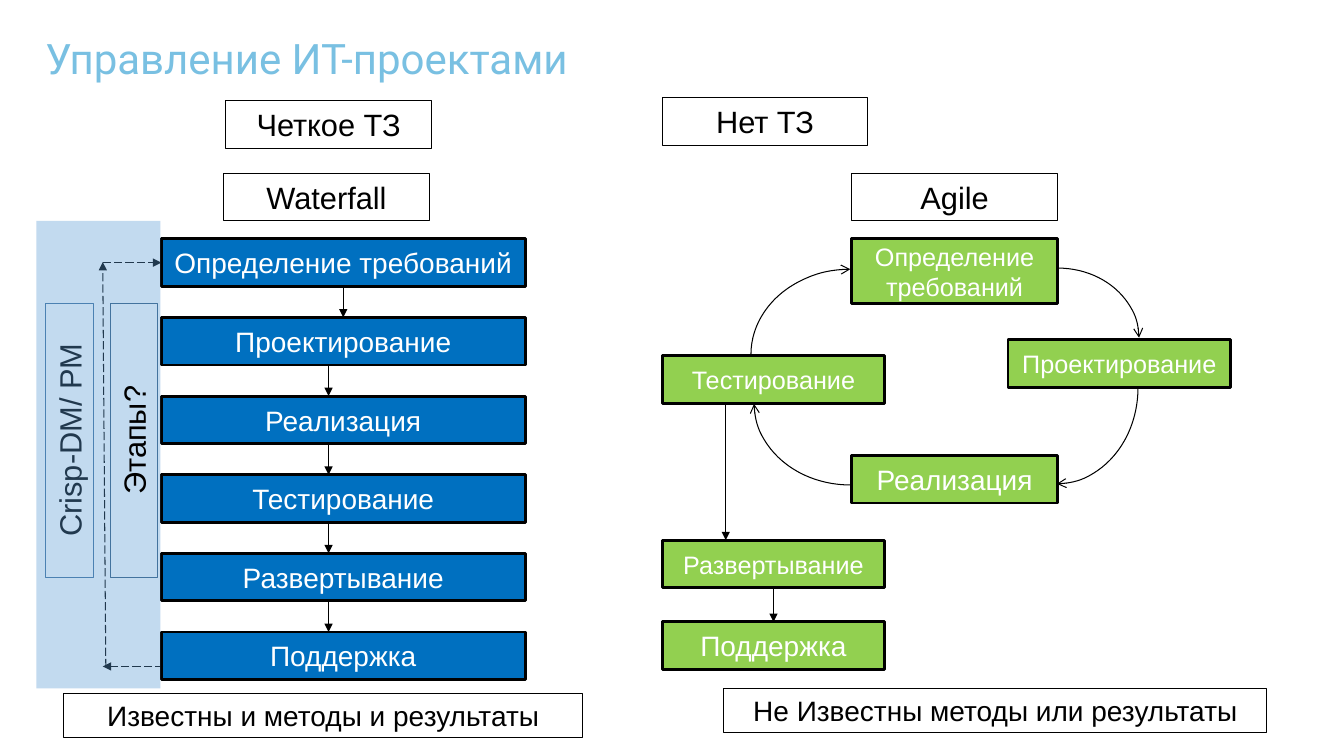
import pptx
import pptx.util
import pptx.dml.color
import pptx.enum.dml
import pptx.enum.shapes
import pptx.enum.text
import pptx.oxml
import pptx.oxml.ns

Pt = pptx.util.Pt
RGBColor = pptx.dml.color.RGBColor
SHAPE = pptx.enum.shapes.MSO_SHAPE
ANCHOR = pptx.enum.text.MSO_ANCHOR
CENTER = pptx.enum.text.PP_ALIGN.CENTER
DASH = pptx.enum.dml.MSO_LINE.LONG_DASH

BLACK = RGBColor(0x00, 0x00, 0x00)
WHITE = RGBColor(0xFF, 0xFF, 0xFF)
BLUE = RGBColor(0x00, 0x70, 0xC0)
GREEN = RGBColor(0x92, 0xD0, 0x50)
SKY = RGBColor(0x79, 0xC0, 0xE2)
STEEL = RGBColor(0x43, 0x73, 0x9E)
PANEL = RGBColor(0x5B, 0x9B, 0xD5)

BOX_HEIGHT = 34
LABEL_WIDTH = 147
THIN, THICK = 0.75, 2
TOP, LEFT, BOTTOM = 0, 1, 2


def write(para, text, size, color, name="Arial"):
    span = para.add_run()
    span.text = text
    for key, value in {"size": Pt(size), "name": name}.items():
        setattr(span.font, key, value)
    span.font.color.rgb = color


def add_plain(page, kind, box, fill=None, line=None, width=THIN):
    shape = page.shapes.add_shape(kind, *(Pt(value) for value in box))
    shape.shadow.inherit = False
    if fill is None:
        shape.fill.background()
    else:
        shape.fill.solid()
        shape.fill.fore_color.rgb = fill
    if line is None:
        shape.line.fill.background()
    else:
        shape.line.color.rgb = line
        shape.line.width = Pt(width)
    return shape


def add_text(shape, text, size, color, anchor):
    frame = shape.text_frame
    for key, value in {"word_wrap": True, "vertical_anchor": anchor}.items():
        setattr(frame, key, value)
    para = frame.paragraphs[0]
    para.alignment = CENTER
    write(para, text, size, color)


def add_label(page, box, text, size=22, line=BLACK, rotation=0):
    label = add_plain(page, SHAPE.RECTANGLE, box, line=line)
    label.rotation = rotation
    add_text(label, text, size, BLACK, ANCHOR.TOP)


def add_step(page, box, text, size, fill):
    step = add_plain(page, SHAPE.RECTANGLE, box, fill, BLACK, THICK)
    add_text(step, text, size, WHITE, ANCHOR.MIDDLE)
    return step


def add_head(shape, head):
    end = pptx.oxml.parse_xml(
        f'<a:tailEnd {pptx.oxml.ns.nsdecls("a")} type="{head}"/>')
    shape.line._get_or_add_ln().append(end)


def add_arrow(page, start, finish, dash=None):
    arrow = page.shapes.add_connector(
        pptx.enum.shapes.MSO_CONNECTOR.STRAIGHT,
        *(Pt(value) for value in (*start, *finish)))
    arrow.line.color.rgb = BLACK
    arrow.line.width = Pt(THIN)
    if dash is not None:
        arrow.line.dash_style = dash
    add_head(arrow, "triangle")
    arrow.element.spPr.append(pptx.oxml.parse_xml(
        f'<a:effectLst {pptx.oxml.ns.nsdecls("a")}/>'))
    return arrow


def add_quarter_arc(page, box, rotation):
    arc = add_plain(page, SHAPE.ARC, box, line=BLACK)
    arc.rotation = rotation
    arc.adjustments[0] = 162
    arc.adjustments[1] = 215.62
    add_head(arc, "arrow")


def add_title(page, left, top, width, height):
    title = page.shapes.add_textbox(Pt(left), Pt(top), Pt(width), Pt(height))
    frame = title.text_frame
    frame.word_wrap = True
    for side in ("left", "top", "right", "bottom"):
        setattr(frame, f"margin_{side}", 0)
    para = frame.paragraphs[0]
    para.line_spacing = 0.84
    write(para, "Управление ИТ-проектами", 30, SKY, "Roboto")


def add_feedback(page, left, top, first_step):
    """Shaded side panel with the dashed way back from the last step."""
    into_first = add_arrow(page, (left + 47.4, top + 117.6),
                           (left + 89.2, top + 117.6), DASH)
    into_first.end_connect(first_step, LEFT)
    add_arrow(page, (left + 90.6, top + 406), (left + 47.4, top + 406), DASH)
    add_arrow(page, (left + 49.6, top + 406.6), (left + 47.4, top + 117.2), DASH)
    add_label(page, (left - 74.2, top + 227.4, 195.8, BOX_HEIGHT),
              "Crisp-DM/ PM", line=STEEL, rotation=270)
    panel = add_plain(page, SHAPE.RECTANGLE, (left, top + 87.7, 88.6, 334), PANEL)
    color = panel.element.spPr.find(".//" + pptx.oxml.ns.qn("a:srgbClr"))
    color.append(pptx.oxml.parse_xml(
        f'<a:alpha {pptx.oxml.ns.nsdecls("a")} val="37000"/>'))
    add_label(page, (left - 28.2, top + 227.4, 195.8, BOX_HEIGHT),
              "Этапы?", line=STEEL, rotation=270)


def add_waterfall(page, left, top):
    step_left, step_top, step_width, pitch = left + 89.2, top + 100.6, 260, 56.16
    add_label(page, (left + 135.3, top + 2, LABEL_WIDTH, BOX_HEIGHT), "Четкое ТЗ")
    add_label(page, (left + 133.8, top + 53.8, LABEL_WIDTH, BOX_HEIGHT), "Waterfall")
    names = ("Определение требований", "Проектирование", "Реализация",
             "Тестирование", "Развертывание", "Поддержка")
    steps = [add_step(page, (step_left, step_top + pitch * row, step_width, BOX_HEIGHT),
                      name, 20, BLUE) for row, name in enumerate(names)]
    for row in range(len(steps) - 1):
        x = step_left + (step_width / 2 if row == 0 else 119.5)
        y = step_top + pitch * row + BOX_HEIGHT
        arrow = add_arrow(page, (x, y), (x, y + pitch - BOX_HEIGHT))
        if row == 0:
            arrow.begin_connect(steps[0], BOTTOM)
            arrow.end_connect(steps[1], TOP)
    add_feedback(page, left, top, steps[0])
    add_label(page, (left + 19.4, top + 425.4, 371, 31.7),
              "Известны и методы и результаты", 20)


def add_agile(page, left, top):
    middle, wide = left + 135.4, 159
    add_label(page, (left, top, LABEL_WIDTH, BOX_HEIGHT), "Нет ТЗ")
    add_label(page, (middle, top + 53.8, LABEL_WIDTH, BOX_HEIGHT), "Agile")
    steps = {}
    for name, x, y, width, height, size in (
            ("Определение требований", middle, 100.6, LABEL_WIDTH, 46, 18),
            ("Проектирование", left + 247, 172.6, wide, BOX_HEIGHT, 18),
            ("Реализация", middle, 255.4, LABEL_WIDTH, BOX_HEIGHT, 20),
            ("Тестирование", left, 184.2, wide, BOX_HEIGHT, 18),
            ("Развертывание", left, 315.9, wide, BOX_HEIGHT, 18),
            ("Поддержка", left, 374.2, wide, BOX_HEIGHT, 20)):
        steps[name] = add_step(page, (x, top + y, width, height), name, size, GREEN)
    for turn, (x, y, width, height) in enumerate((
            (224.7, 121.5, 116, 100.8), (212.4, 148.2, 137.5, 117.4),
            (65.6, 159, 137.5, 117.4), (74.2, 111.4, 121.7, 143.3))):
        add_quarter_arc(page, (left + x, top + y, width, height), 90 * turn)
    add_arrow(page, (left + 45.4, top + 218.7), (left + 45.4, top + 315.9))
    to_support = add_arrow(page, (left + wide / 2, top + 349.9),
                           (left + wide / 2, top + 374.2))
    to_support.begin_connect(steps["Развертывание"], BOTTOM)
    to_support.end_connect(steps["Поддержка"], TOP)
    add_label(page, (left + 44, top + 421.8, 388, 31.7),
              "Не Известны методы или результаты", 20)


def main():
    deck = pptx.Presentation()
    deck.slide_width, deck.slide_height = Pt(960), Pt(540)
    page = deck.slides.add_slide(deck.slide_layouts[6])
    add_title(page, 32.4, 28.8, 690, 30)
    add_waterfall(page, 26, 70)
    add_agile(page, 473, 70)
    deck.save("out.pptx")


if __name__ == "__main__":
    main()
